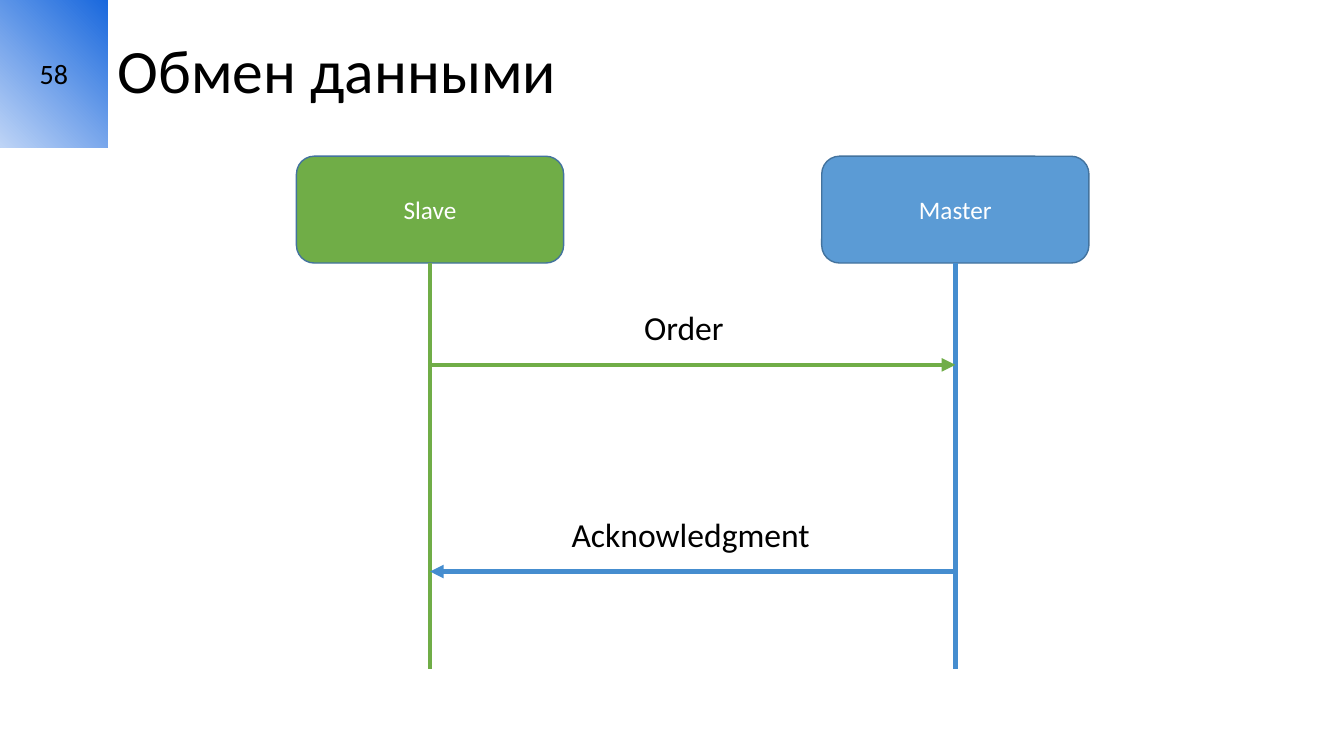
from lxml import etree
from pptx import Presentation, util as u
from pptx.dml.color import RGBColor
from pptx.enum import shapes, text
from pptx.oxml.ns import qn

# Content
TITLE = "Обмен данными"
PAGE_NUMBER = "58"
# name, left edge, box fill, lifeline colour
ACTORS = [
    ("Slave", 2.94, "green", "green"),
    ("Master", 8.15, "blue", "line_blue"),
]
# wording, sender, receiver, arrow height, label left, label width
MESSAGES = [
    ("Order", "Slave", "Master", 3.62, 6.29, 1.0),
    ("Acknowledgment", "Master", "Slave", 5.67, 5.57, 2.59),
]

COLORS = {
    "black": "000000", "white": "FFFFFF",
    "green": "70AD47", "blue": "5B9BD5",
    "line_blue": "458DCF", "outline": "43739E",
    "corner_dark": "1968DD", "corner_light": "BED4F6",
}
FONT = "Calibri"
HEADER_HEIGHT, CORNER_WIDTH = 1.46, 1.07
ACTOR_TOP, ACTOR_WIDTH, ACTOR_HEIGHT = 1.55, 2.65, 1.06
LIFELINE_END = 6.64
LABEL_HEIGHT, LABEL_RISE = 0.5, 0.62


def color(name):
    return RGBColor.from_string(COLORS[name])


def write(shape, wording, size, ink="black", align=text.PP_ALIGN.CENTER,
          anchor=text.MSO_ANCHOR.MIDDLE, wrap=True):
    frame = shape.text_frame
    frame.word_wrap = wrap
    frame.vertical_anchor = anchor
    para = frame.paragraphs[0]
    para.alignment = align
    span = para.add_run()
    span.text = wording
    span.font.size = u.Pt(size)
    span.font.name = FONT
    span.font.color.rgb = color(ink)
    return frame


def add_line(page, x1, y1, x2, y2, ink, arrow=False):
    line = page.shapes.add_connector(
        shapes.MSO_CONNECTOR.STRAIGHT, *map(u.Inches, (x1, y1, x2, y2)))
    line.line.color.rgb = color(ink)
    line.line.width = u.Pt(3.25)
    if arrow:
        etree.SubElement(line.line._get_or_add_ln(), qn("a:tailEnd"), type="triangle")
    etree.SubElement(line._element.spPr, qn("a:effectLst"))
    return line


def add_box(page, preset, left, top, width, height):
    box = page.shapes.add_shape(preset, *map(u.Inches, (left, top, width, height)))
    box.shadow.inherit = False
    return box


def add_text(page, left, top, width, height):
    return page.shapes.add_textbox(*map(u.Inches, (left, top, width, height)))


def add_header(page):
    # Corner with the page number
    corner = add_box(page, shapes.MSO_SHAPE.RECTANGLE, 0, 0, CORNER_WIDTH, HEADER_HEIGHT)
    corner.line.fill.background()
    corner.fill.gradient()
    corner.fill.gradient_angle = 225
    for stop, name in zip(corner.fill.gradient_stops, ("corner_dark", "corner_light")):
        stop.color.rgb = color(name)
    write(corner, PAGE_NUMBER, 20)

    # Title
    title = add_text(page, CORNER_WIDTH, 0, 13.33 - CORNER_WIDTH, HEADER_HEIGHT)
    frame = write(title, TITLE, 44, align=text.PP_ALIGN.LEFT)
    frame.paragraphs[0].line_spacing = 0.9


def add_sequence(page):
    # Actors and their lifelines
    centers, inks = {}, {}
    for name, left, fill, ink in ACTORS:
        box = add_box(page, shapes.MSO_SHAPE.ROUNDED_RECTANGLE,
                      left, ACTOR_TOP, ACTOR_WIDTH, ACTOR_HEIGHT)
        box.fill.solid()
        box.fill.fore_color.rgb = color(fill)
        box.line.color.rgb = color("outline")
        box.line.width = u.Pt(1)
        write(box, name, 18, "white")
        center = left + ACTOR_WIDTH / 2
        lifeline = add_line(page, center, ACTOR_TOP + ACTOR_HEIGHT,
                            center, LIFELINE_END, ink)
        lifeline.begin_connect(box, 2)
        centers[name], inks[name] = center, ink

    # Messages
    for wording, sender, receiver, y, left, width in MESSAGES:
        add_line(page, centers[sender], y, centers[receiver], y, inks[sender], arrow=True)
        label = add_text(page, left, y - LABEL_RISE, width, LABEL_HEIGHT)
        frame = write(label, wording, 24, align=text.PP_ALIGN.LEFT,
                      anchor=text.MSO_ANCHOR.TOP, wrap=False)
        frame.auto_size = text.MSO_AUTO_SIZE.SHAPE_TO_FIT_TEXT


def main():
    deck = Presentation()
    deck.slide_width, deck.slide_height = u.Inches(13.33), u.Inches(7.5)
    page = deck.slides.add_slide(deck.slide_layouts[6])
    add_header(page)
    add_sequence(page)
    deck.save("out.pptx")


if __name__ == "__main__":
    main()
